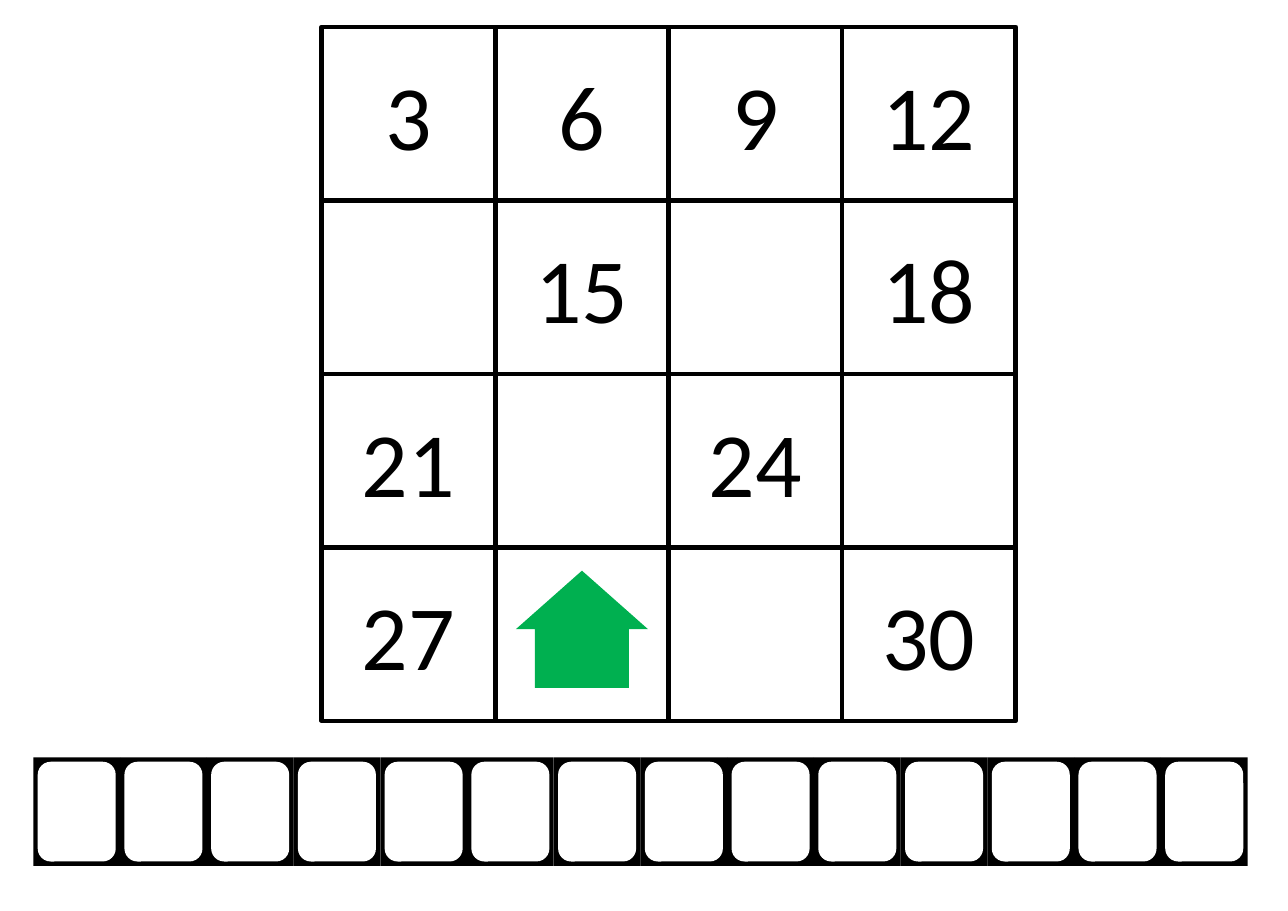
from pptx import Presentation
from pptx.dml.color import RGBColor
from pptx.enum.shapes import MSO_SHAPE
from pptx.enum.text import MSO_ANCHOR, PP_ALIGN
from pptx.util import Cm, Pt

RECTANGLE = MSO_SHAPE.RECTANGLE
ROUNDED = MSO_SHAPE.ROUNDED_RECTANGLE
ARROW = MSO_SHAPE.RIGHT_ARROW
MIDDLE = MSO_ANCHOR.MIDDLE
CENTER = PP_ALIGN.CENTER

COLORS = {"black": "000000", "white": "FFFFFF", "green": "00B050"}
NUMBERS = [
    ["3", "6", "9", "12"],
    ["", "15", "", "18"],
    ["21", "", "24", ""],
    ["27", "", "", "30"],
]
UNFILLED_CELLS = {(0, 1), (3, 1)}
GRID_LEFT, GRID_TOP, CELL_SIZE = 7.42, 0.62, 4
TILE_COUNT = 14
TILE_LEFT, TILE_TOP, TILE_WIDTH, TILE_HEIGHT = 0.77, 17.46, 2, 2.5
TILE_INSET = 0.1


def write_text(box, text, size=60, color="black", font="Calibri"):
    frame = box.text_frame
    frame.vertical_anchor = MIDDLE
    para = frame.paragraphs[0]
    para.alignment = CENTER
    span = para.add_run()
    span.text = text
    span.font.name = font
    span.font.size = Pt(size)
    span.font.color.rgb = RGBColor.from_string(COLORS[color])


class Worksheet:
    def __init__(self, page):
        self.page = page
        self.line_width = Pt(3)

    def shape(self, kind, left, top, width, height, fill=None, line=None, parent=None):
        owner = parent or self.page
        box = owner.shapes.add_shape(kind, Cm(left), Cm(top), Cm(width), Cm(height))
        box.shadow.inherit = False
        if fill:
            box.fill.solid()
            box.fill.fore_color.rgb = RGBColor.from_string(COLORS[fill])
        else:
            box.fill.background()
        if line:
            box.line.color.rgb = RGBColor.from_string(COLORS[line])
            box.line.width = self.line_width
        else:
            box.line.fill.background()
        return box

    def home_arrow(self, left, top, width, height):
        arrow = self.shape(ARROW, left, top, width, height, fill="green")
        arrow.rotation = 270
        arrow.adjustments[0] = 0.71
        arrow.adjustments[1] = 0.5

    def cell(self, row, column, text):
        fill = None if (row, column) in UNFILLED_CELLS else "white"
        left = GRID_LEFT + column * CELL_SIZE
        top = GRID_TOP + row * CELL_SIZE
        box = self.shape(RECTANGLE, left, top, CELL_SIZE, CELL_SIZE, fill, "black")
        if text:
            write_text(box, text)

    def tile(self, index):
        group = self.page.shapes.add_group_shape()
        left = TILE_LEFT + index * TILE_WIDTH
        self.shape(RECTANGLE, left, TILE_TOP, TILE_WIDTH, TILE_HEIGHT,
                   fill="black", parent=group)
        self.shape(ROUNDED, left + TILE_INSET, TILE_TOP + TILE_INSET,
                   TILE_WIDTH - 2 * TILE_INSET, TILE_HEIGHT - 2 * TILE_INSET,
                   fill="white", parent=group)


deck = Presentation()
deck.slide_width = Cm(29.7)
deck.slide_height = Cm(21)
sheet = Worksheet(deck.slides.add_slide(deck.slide_layouts[6]))

sheet.home_arrow(12.07, 12.98, 2.7, 3.05)
for row, numbers in enumerate(NUMBERS):
    for column, number in enumerate(numbers):
        sheet.cell(row, column, number)
for index in range(TILE_COUNT):
    sheet.tile(index)

deck.save("out.pptx")
